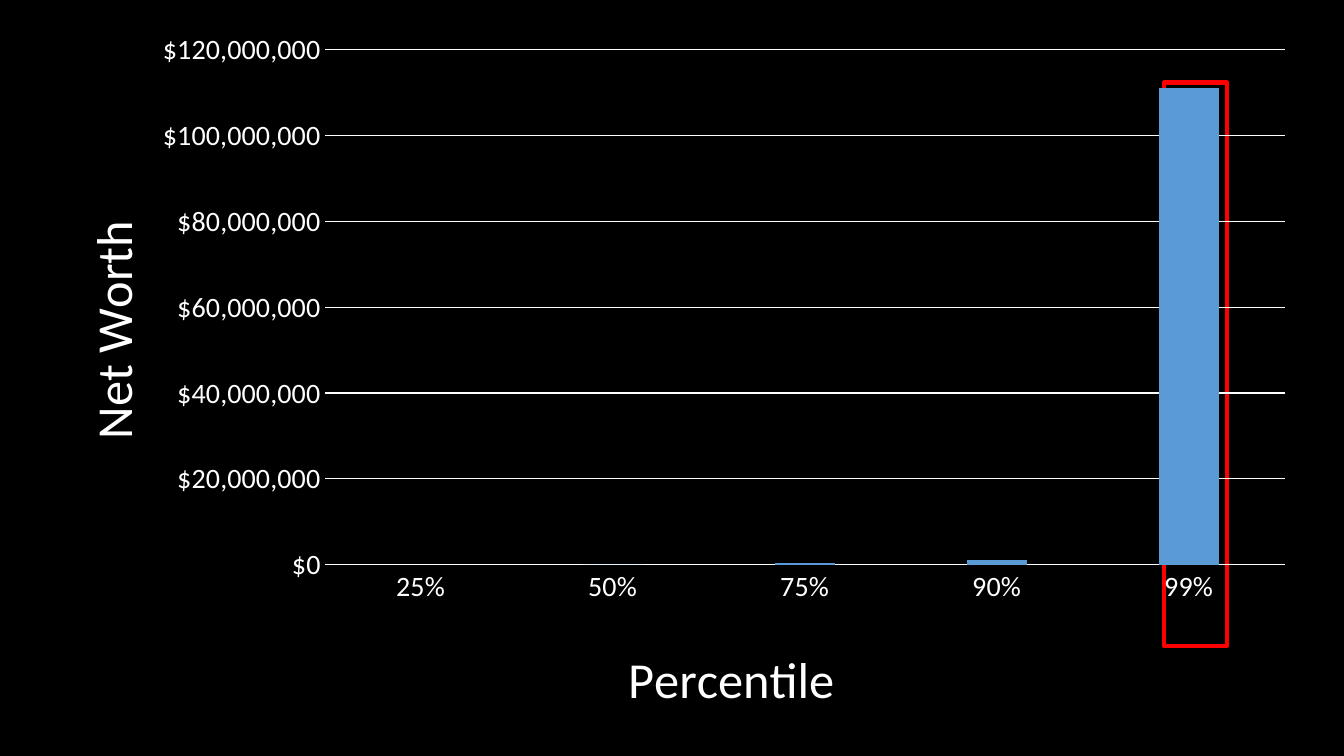
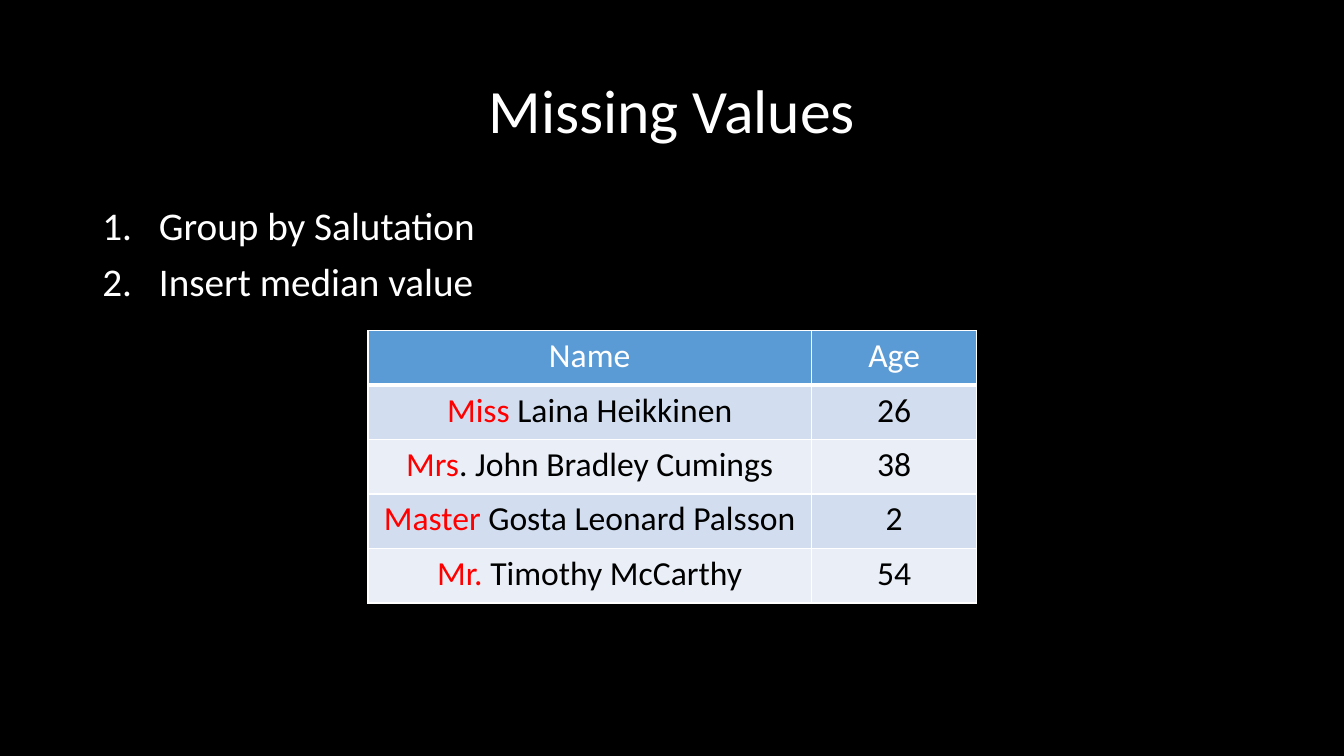
from lxml import etree
from pptx import Presentation
from pptx.chart.data import CategoryChartData
from pptx.dml.color import RGBColor
from pptx.enum.chart import XL_CHART_TYPE, XL_TICK_MARK
from pptx.enum.shapes import MSO_SHAPE
from pptx.enum.text import MSO_ANCHOR, PP_ALIGN
from pptx.oxml.ns import qn
from pptx.util import Pt

COLUMNS = XL_CHART_TYPE.COLUMN_CLUSTERED
NO_TICK = XL_TICK_MARK.NONE
RECTANGLE = MSO_SHAPE.RECTANGLE
MIDDLE = MSO_ANCHOR.MIDDLE
CENTER = PP_ALIGN.CENTER

FONT = "Calibri"
BLACK, WHITE, RED, BLUE = "000000", "FFFFFF", "FF0000", "5B9BD5"
BANDS = ("D2DEEF", "EAEFF7")

NET_WORTH = {"25%": -100000, "50%": 0, "75%": 400000, "90%": 1000000, "99%": 111000000}
PLOT_LAYOUT = {"x": 0.23, "y": 0.04, "w": 0.75, "h": 0.73}
PERCENTILE_LAYOUT = {"x": 0.46, "y": 0.87}
NET_WORTH_LAYOUT = {"x": 0.03, "y": 0.27}

TITLE = "Missing Values"
STEPS = ["Group by Salutation", "Insert median value"]
HEADERS = ("Name", "Age")
PASSENGERS = [
    ("Miss ", "Laina Heikkinen", "26"),
    ("Mrs", ". John Bradley Cumings", "38"),
    ("Master ", "Gosta Leonard Palsson", "2"),
    ("Mr. ", "Timothy McCarthy", "54"),
]
COLUMN_WIDTHS = (316.8, 118.1)
ROW_HEIGHT = 38.9


def color(value):
    return RGBColor.from_string(value)


def style_font(font, size, value):
    font.name = FONT
    font.size = Pt(size)
    font.bold = False
    font.color.rgb = color(value)


def style_line(line, value, width):
    line.color.rgb = color(value)
    line.width = Pt(width)


def add_span(para, text, size, value):
    span = para.add_run()
    span.text = text
    style_font(span.font, size, value)


def add_text_box(page, left, top, width, height):
    frame = page.shapes.add_textbox(Pt(left), Pt(top), Pt(width), Pt(height)).text_frame
    frame.word_wrap = True
    return frame


def place(element, fractions):
    layout = element.find(qn("c:layout"))
    if layout is None:
        layout = etree.Element(qn("c:layout"))
        element.insert(0, layout)
    manual = etree.SubElement(layout, qn("c:manualLayout"))
    if "w" in fractions:
        etree.SubElement(manual, qn("c:layoutTarget"), val="inner")
    for side in "xy":
        etree.SubElement(manual, qn(f"c:{side}Mode"), val="edge")
    for name, fraction in fractions.items():
        etree.SubElement(manual, qn(f"c:{name}"), val=str(fraction))


def clear_fill():
    properties = etree.Element(qn("c:spPr"))
    etree.SubElement(properties, qn("a:noFill"))
    line = etree.SubElement(properties, qn("a:ln"))
    etree.SubElement(line, qn("a:noFill"))
    return properties


def style_axis(axis, title, layout, rotation):
    axis.major_tick_mark = NO_TICK
    axis.minor_tick_mark = NO_TICK
    style_font(axis.tick_labels.font, 20, WHITE)
    frame = axis.axis_title.text_frame
    frame.text = title
    style_font(frame.paragraphs[0].runs[0].font, 36, WHITE)
    element = axis.axis_title.element
    element.find(".//" + qn("a:bodyPr")).set("rot", str(rotation))
    place(element, layout)


def add_net_worth_chart(page):
    data = CategoryChartData()
    data.categories = list(NET_WORTH)
    data.add_series("Series 1", list(NET_WORTH.values()))
    chart = page.shapes.add_chart(COLUMNS, Pt(21.6), Pt(15.1), Pt(914.4), Pt(504.7), data).chart
    chart.has_title = False
    chart.has_legend = False
    style_font(chart.font, 20, WHITE)

    plot = chart.plots[0]
    plot.gap_width = 219
    plot.overlap = -27
    plot.vary_by_categories = False
    series = plot.series[0]
    series.invert_if_negative = False
    series.format.fill.solid()
    series.format.fill.fore_color.rgb = color(BLUE)

    percentiles, amounts = chart.category_axis, chart.value_axis
    style_axis(percentiles, "Percentile", PERCENTILE_LAYOUT, 0)
    style_axis(amounts, "Net Worth", NET_WORTH_LAYOUT, -5400000)
    style_line(percentiles.format.line, WHITE, 0.75)
    amounts.format.line.fill.background()
    amounts.minimum_scale = 0
    amounts.maximum_scale = 120000000
    amounts.major_unit = 20000000
    amounts.has_major_gridlines = True
    style_line(amounts.major_gridlines.format.line, WHITE, 0.75)
    amounts.tick_labels.number_format = '"$"#,##0'
    amounts.tick_labels.number_format_is_linked = False

    chart_element = chart.element.find(qn("c:chart"))
    plot_area = chart_element.find(qn("c:plotArea"))
    place(plot_area, PLOT_LAYOUT)
    plot_area.append(clear_fill())
    chart_element.addnext(clear_fill())


def build_net_worth(page):
    highlight = page.shapes.add_shape(RECTANGLE, Pt(831.6), Pt(59), Pt(44.6), Pt(402.5))
    highlight.shadow.inherit = False
    highlight.fill.background()
    style_line(highlight.line, RED, 3)
    add_net_worth_chart(page)


def add_borders(cell, bottom_width):
    properties = cell._tc.get_or_add_tcPr()
    for side, width in (("L", 1), ("R", 1), ("T", 1), ("B", bottom_width)):
        line = etree.SubElement(properties, qn(f"a:ln{side}"), w=str(Pt(width)))
        fill = etree.SubElement(line, qn("a:solidFill"))
        etree.SubElement(fill, qn("a:srgbClr"), val=WHITE)


def fill_cell(cell, spans, fill, bottom_width=1):
    add_borders(cell, bottom_width)
    cell.fill.solid()
    cell.fill.fore_color.rgb = color(fill)
    para = cell.text_frame.paragraphs[0]
    para.alignment = CENTER
    for text, value in spans:
        add_span(para, text, 24, value)


def add_passenger_table(page):
    row_count = len(PASSENGERS) + 1
    table = page.shapes.add_table(
        row_count, len(HEADERS), Pt(262.8), Pt(236.2),
        Pt(sum(COLUMN_WIDTHS)), Pt(ROW_HEIGHT * row_count),
    ).table
    table.first_row = False
    table.horz_banding = False
    for column, width in zip(table.columns, COLUMN_WIDTHS):
        column.width = Pt(width)
    for row in table.rows:
        row.height = Pt(ROW_HEIGHT)
    for index, header in enumerate(HEADERS):
        fill_cell(table.cell(0, index), [(header, WHITE)], BLUE, 3)
    for index, (salutation, name, age) in enumerate(PASSENGERS):
        band = BANDS[index % 2]
        fill_cell(table.cell(index + 1, 0), [(salutation, RED), (name, BLACK)], band)
        fill_cell(table.cell(index + 1, 1), [(age, BLACK)], band)


def build_missing_values(page):
    title = add_text_box(page, 66, 28.8, 828, 104.4)
    title.vertical_anchor = MIDDLE
    para = title.paragraphs[0]
    para.alignment = CENTER
    para.line_spacing = 0.9
    add_span(para, TITLE, 44, WHITE)

    add_passenger_table(page)

    steps = add_text_box(page, 66, 144, 828, 146.2)
    for index, step in enumerate(STEPS):
        para = steps.add_paragraph() if index else steps.paragraphs[0]
        para.line_spacing = 0.9
        para.space_before = Pt(10)
        add_span(para, step, 28, WHITE)
        properties = para._p.get_or_add_pPr()
        properties.set("marL", str(Pt(40.5)))
        properties.set("indent", str(Pt(-40.5)))
        etree.SubElement(properties, qn("a:buFont"), typeface="+mj-lt")
        etree.SubElement(properties, qn("a:buAutoNum"), type="arabicPeriod")


def main():
    deck = Presentation()
    deck.slide_width = Pt(960)
    deck.slide_height = Pt(540)
    backdrop = deck.slide_master.background.fill
    backdrop.solid()
    backdrop.fore_color.rgb = color(BLACK)
    for build in (build_net_worth, build_missing_values):
        build(deck.slides.add_slide(deck.slide_layouts[6]))
    deck.save("out.pptx")


if __name__ == "__main__":
    main()
